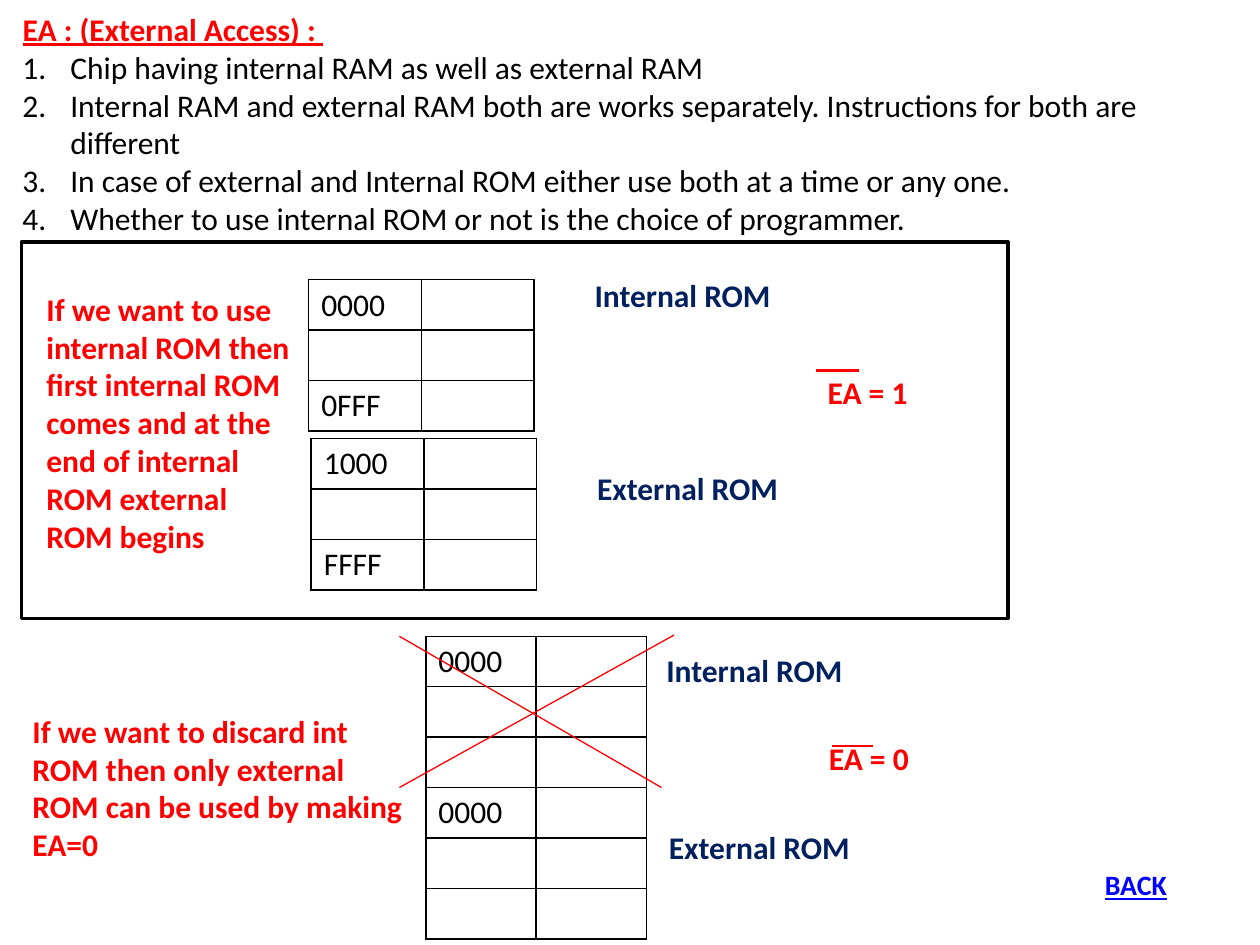
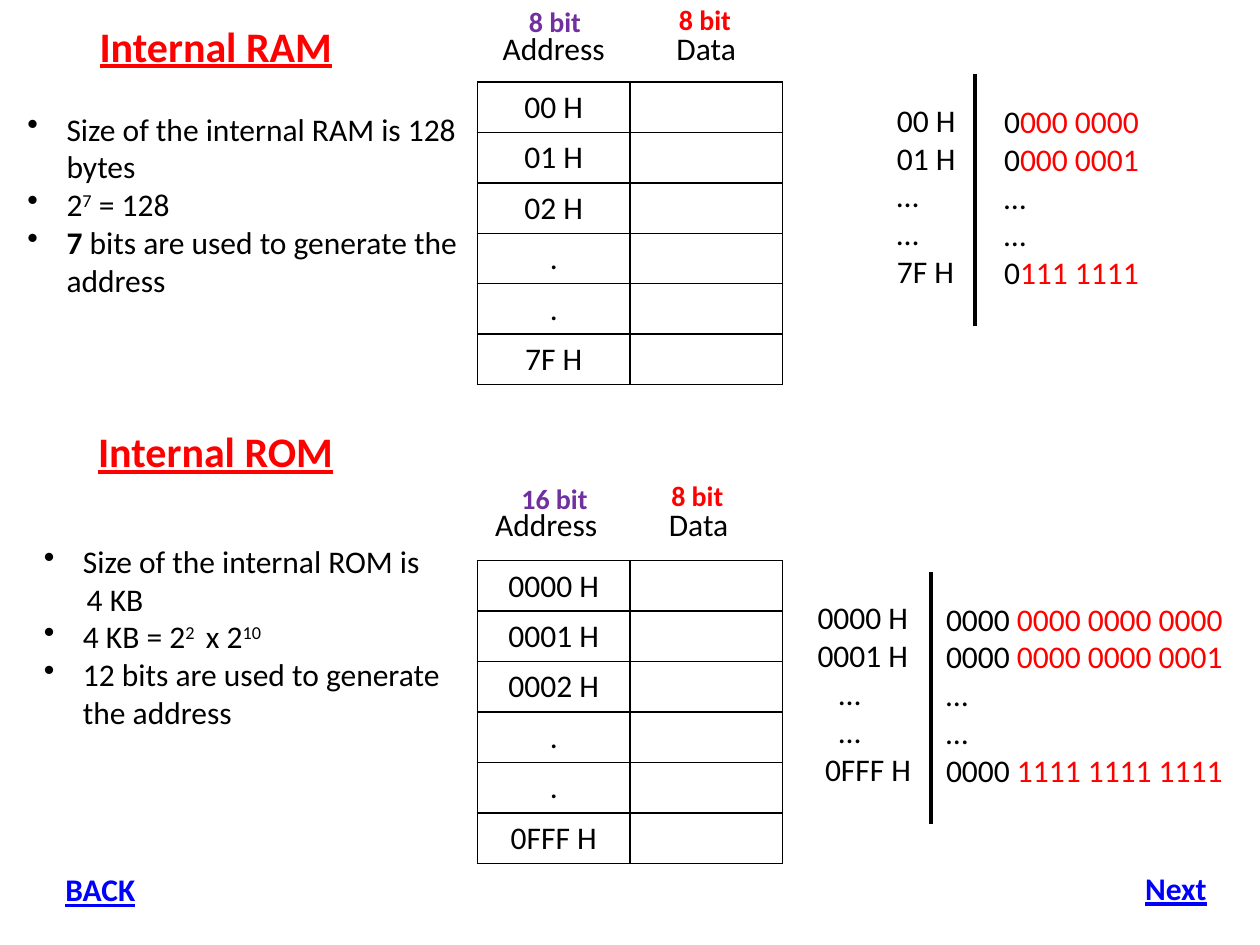
"""Build two slides on the program and data memory of a chip."""
from lxml import etree
from pptx import Presentation
from pptx.dml.color import RGBColor
from pptx.enum.shapes import MSO_CONNECTOR, MSO_SHAPE
from pptx.enum.text import MSO_ANCHOR, MSO_AUTO_SIZE, PP_ALIGN
from pptx.oxml.ns import qn
from pptx.util import Inches, Pt

RED = RGBColor(0xFF, 0x00, 0x00)
BLACK = RGBColor(0x00, 0x00, 0x00)
NAVY = RGBColor(0x00, 0x20, 0x60)
VIOLET = RGBColor(0x70, 0x30, 0xA0)
BLUE = RGBColor(0x00, 0x00, 0xFF)
LEFT, CENTER = PP_ALIGN.LEFT, PP_ALIGN.CENTER
TOP, FIXED = MSO_ANCHOR.TOP, MSO_AUTO_SIZE.NONE
STRAIGHT, RECT = MSO_CONNECTOR.STRAIGHT, MSO_SHAPE.RECTANGLE

BODY = {"name": "Calibri", "size": Pt(18), "bold": False, "underline": False, "color": BLACK}
NOTE = {"bold": True, "color": RED}
LABEL = {"bold": True, "color": NAVY}
HEAD = {"bold": True, "underline": True, "color": RED}
TITLE = {**HEAD, "size": Pt(24)}
LINK = {"bold": True, "underline": True, "color": BLUE}
SUPER = {"raise": 30000}


def style(run, form):
    """Apply a dict of format values to a run."""
    for key, value in {**BODY, **form}.items():
        if key == "color":
            run.font.color.rgb = value
        elif key == "raise":
            run.font._element.set("baseline", str(value))
        else:
            setattr(run.font, key, value)


def mark(para, sign, pad):
    """Indent a paragraph and hang a bullet or number in front of it."""
    props = para._p.get_or_add_pPr()
    props.set("marL", str(Inches(pad)))
    if sign:
        props.set("indent", str(-Inches(pad)))
        if sign == "•":
            etree.SubElement(props, qn("a:buChar"), char=sign)
        else:
            etree.SubElement(props, qn("a:buAutoNum"), type="arabicPeriod")


def write(frame, lines, form, align=LEFT, signs=None, pads=None):
    """Write lines, each a string or a list of (text, format) runs."""
    for i, line in enumerate(lines):
        para = frame.add_paragraph() if i else frame.paragraphs[0]
        para.alignment = align
        if pads:
            mark(para, signs[i] if signs else None, pads[i])
        for words, extra in [(line, {})] if isinstance(line, str) else line:
            run = para.add_run()
            run.text = words
            style(run, {**form, **extra})


def text(slide, box, lines, form=BODY, **more):
    """Add a wrapping text box."""
    shape = slide.shapes.add_textbox(*map(Inches, box))
    shape.text_frame.word_wrap = True
    write(shape.text_frame, lines, form, **more)


def title(slide, box, words, form):
    """Place and format the title."""
    shape = slide.shapes.title
    shape.left, shape.top, shape.width, shape.height = map(Inches, box)
    frame = shape.text_frame
    frame.auto_size, frame.vertical_anchor = FIXED, TOP
    write(frame, [words], form)


def line(slide, ends, color, width):
    """Draw a plain straight line."""
    link = slide.shapes.add_connector(STRAIGHT, *map(Inches, ends))
    link.line.color.rgb, link.line.width = color, Pt(width)
    etree.SubElement(link._element.spPr, qn("a:effectLst"))


def edge(cell):
    """Give a cell black borders and no fill."""
    props = cell._tc.get_or_add_tcPr()
    for side in ("lnL", "lnR", "lnT", "lnB"):
        rim = etree.SubElement(props, qn(f"a:{side}"), w=str(Pt(1)))
        fill = etree.SubElement(rim, qn("a:solidFill"))
        etree.SubElement(fill, qn("a:srgbClr"), val=str(BLACK))
    cell.fill.background()


def grid(slide, left, top, width, codes, align=LEFT):
    """Add a memory table with addresses on the left and empty data cells."""
    count = len(codes)
    spot = map(Inches, (left, top, width, 0.4 * count))
    table = slide.shapes.add_table(count, 2, *spot).table
    table.first_row = table.horz_banding = False
    for cell in table.iter_cells():
        edge(cell)
    for row, code in enumerate(codes):
        if code:
            write(table.cell(row, 0).text_frame, [code], BODY, align)


def header(slide, left, top, bits):
    """Add the column names and bit widths above a memory table."""
    columns = (("Address", bits, VIOLET, 0.19), ("Data", "8 bit", RED, 0.21))
    for i, (name, size, color, lift) in enumerate(columns):
        x = left + 1.21 * i
        text(slide, (x, top, 1.43, 0.4), [name], align=CENTER)
        form = {"bold": True, "size": Pt(16), "color": color}
        text(slide, (x + 0.42 - 0.02 * i, top - lift, 0.9, 0.37), [size], form)


def split(slide, x, top, codes, code_x, bits, bit_x, pads=None):
    """Set hex codes beside their binary form, with a rule between."""
    text(slide, (code_x, top + 0.16, 1.2, 1.62), codes, pads=pads)
    rows = [[(fixed, {}), (used, {"color": RED})] if used else fixed for fixed, used in bits]
    text(slide, (bit_x, top + 0.17, 2.62, 1.62), rows)
    line(slide, (x, top, x, top + 2), BLACK, 2.25)


def access(slide):
    """Fill the slide on external access."""
    title(slide, (0.08, 0.03, 9.33, 0.4), "EA : (External Access) : ", HEAD)
    facts = [
        "Chip having internal RAM as well as external RAM",
        "Internal RAM and external RAM both are works separately. "
        "Instructions for both are different",
        "In case of external and Internal ROM either use both at a time or any one.",
        "Whether to use internal ROM or not is the choice of programmer.",
    ]
    text(slide, (0.08, 0.33, 9.33, 1.92), facts, signs=["1."] * 4, pads=[0.38] * 4)
    text(slide, (0.27, 2.25, 2.17, 2.22),
         ["If we want to use internal ROM then first internal ROM comes and "
          "at the end of internal ROM external ROM begins"], NOTE)
    text(slide, (0.16, 5.6, 3.17, 1.31),
         ["If we want to discard int ROM then only external ROM can be used "
          "by making EA=0"], NOTE)
    for left, top, width, codes in (
            (2.45, 2.22, 1.79, ("0000", "", "0FFF")),
            (2.47, 3.48, 1.79, ("1000", "", "FFFF")),
            (3.38, 5.05, 1.75, ("0000", "", "")),
            (3.38, 6.25, 1.75, ("0000", "", ""))):
        grid(slide, left, top, width, codes)
    for left, top, words, form in (
            (4.62, 2.14, "Internal ROM", LABEL),
            (4.64, 3.67, "External ROM", LABEL),
            (6.47, 2.91, "EA = 1", NOTE),
            (5.19, 5.12, "Internal ROM", LABEL),
            (5.21, 6.52, "External ROM", LABEL),
            (6.48, 5.82, "EA = 0", NOTE)):
        text(slide, (left, top, 3.22, 0.4), [words], form)
    frame = slide.shapes.add_shape(RECT, *map(Inches, (0.17, 1.92, 7.83, 2.99)))
    frame.shadow.inherit = False
    frame.fill.background()
    frame.line.color.rgb, frame.line.width = BLACK, Pt(2)
    for ends, width in (
            ((3.17, 5.05, 5.25, 6.25), 0.75),
            ((5.35, 5.04, 3.17, 6.25), 0.75),
            ((6.93, 5.92, 6.6, 5.92), 1.5),
            ((6.82, 2.94, 6.48, 2.94), 1.5)):
        line(slide, ends, RED, width)
    text(slide, (8.67, 6.84, 1.21, 0.37), ["BACK"], {**LINK, "size": Pt(16)})


def memory(slide):
    """Fill the slide on internal RAM and ROM."""
    title(slide, (0.69, 0.11, 2.42, 0.5), "Internal RAM", TITLE)
    text(slide, (0.12, 0.82, 3.67, 1.62), [
        "Size of the internal RAM is 128 bytes",
        [("2", {}), ("7", SUPER), (" = 128", {})],
        [("7", {"bold": True}), (" bits are used to generate the address", {})],
    ], signs="•••", pads=[0.31] * 3)
    header(slide, 3.68, 0.18, "8 bit")
    grid(slide, 3.79, 0.65, 2.42, ("00 H", "01 H", "02 H", ".", ".", "7F H"), CENTER)
    split(slide, 7.74, 0.59, ["00 H", "01 H", "…", "…", "7F H"], 7.02,
          [("0", "000 0000"), ("0", "000 0001"), ("…", ""), ("…", ""), ("0", "111 1111")],
          7.87)

    text(slide, (0.68, 3.33, 2.42, 0.5), ["Internal ROM"], TITLE)
    text(slide, (0.25, 4.25, 3.67, 1.62), [
        "Size of the internal ROM is",
        "4 KB",
        [("4 KB = 2", {}), ("2 ", SUPER), (" x 2", {}), ("10", SUPER)],
        "12 bits are used to generate the address",
    ], signs=["•", None, "•", "•"], pads=[0.31, 0.34, 0.31, 0.31])
    header(slide, 3.62, 3.96, "16 bit")
    grid(slide, 3.79, 4.45, 2.42,
         ("0000 H", "0001 H", "0002 H", ".", ".", "0FFF H"), CENTER)
    split(slide, 7.39, 4.54, ["0000 H", "0001 H", "…", "…", "0FFF H"], 6.39,
          [("0000", " 0000 0000 0000"), ("0000", " 0000 0000 0001"), ("…", ""), ("…", ""),
           ("0000", " 1111 1111 1111")],
          7.41, pads=[0, 0, 0.17, 0.17, 0.06])
    text(slide, (8.99, 6.85, 0.8, 0.4), ["Next"], LINK)
    text(slide, (0.42, 6.86, 0.8, 0.4), ["BACK"], LINK)


def main():
    """Build and save the deck."""
    deck = Presentation()
    deck.slide_width, deck.slide_height = Inches(10), Inches(7.5)
    for fill in (access, memory):
        fill(deck.slides.add_slide(deck.slide_layouts[5]))
    deck.save("out.pptx")


if __name__ == "__main__":
    main()
